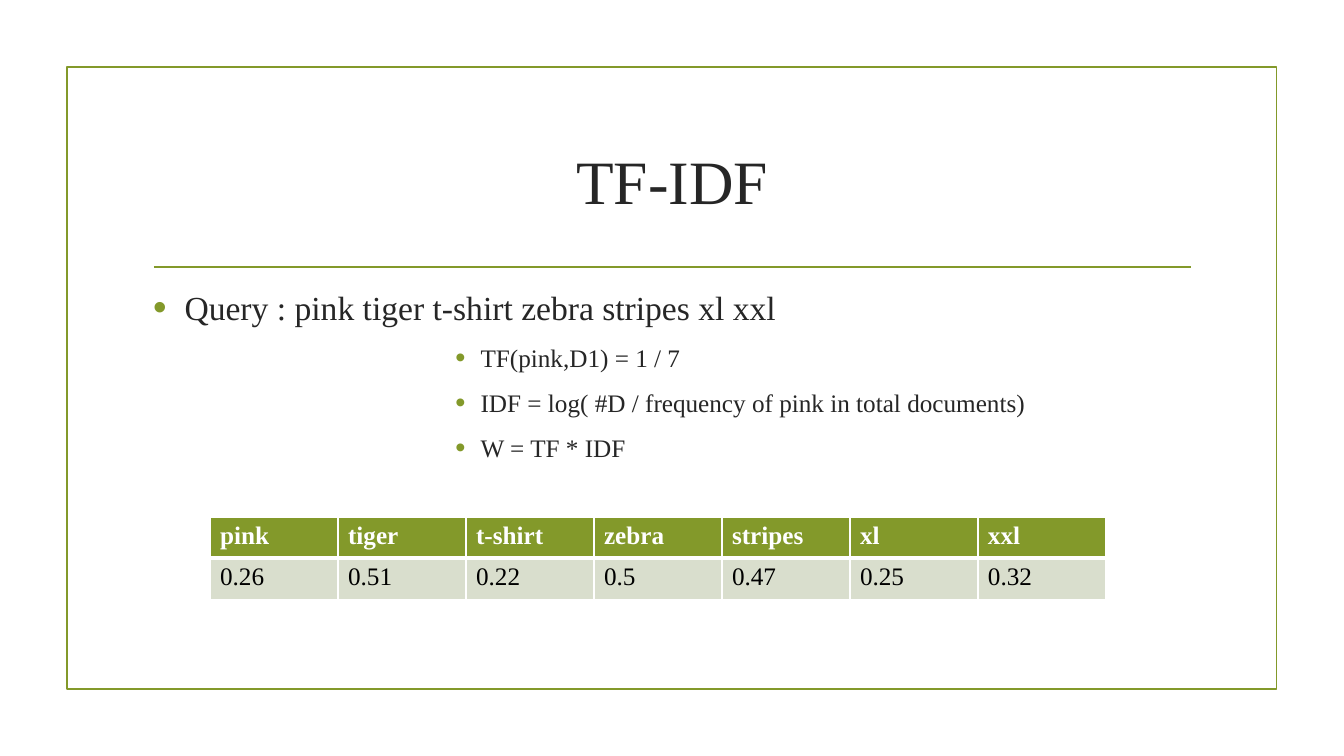
from lxml import etree
from pptx import Presentation
from pptx.dml.color import RGBColor
from pptx.enum.shapes import MSO_CONNECTOR, MSO_SHAPE
from pptx.enum.text import MSO_ANCHOR, PP_ALIGN
from pptx.oxml.ns import qn
from pptx.util import Pt

TITLE = "TF-IDF"
POINTS = [
    ("Query : pink tiger t-shirt zebra stripes xl xxl", 0),
    ("TF(pink,D1) = 1 / 7", 6),
    ("IDF = log( #D / frequency of pink in total documents)", 6),
    ("W = TF * IDF", 6),
]
LEVEL_STYLES = {0: (24, 22.5, 22.5), 6: (18, 234, 18)}
WEIGHTS = [
    ("pink", "0.26"),
    ("tiger", "0.51"),
    ("t-shirt", "0.22"),
    ("zebra", "0.5"),
    ("stripes", "0.47"),
    ("xl", "0.25"),
    ("xxl", "0.32"),
]

FONT = "Times New Roman"
OLIVE = RGBColor(0x83, 0x99, 0x2A)
PALE = RGBColor(0xD9, 0xDE, 0xCD)
INK = RGBColor(0x26, 0x26, 0x26)
BLACK = RGBColor(0, 0, 0)
WHITE = RGBColor(0xFF, 0xFF, 0xFF)
RECTANGLE = MSO_SHAPE.RECTANGLE
STRAIGHT = MSO_CONNECTOR.STRAIGHT
CENTER = PP_ALIGN.CENTER
MIDDLE, TOP = MSO_ANCHOR.MIDDLE, MSO_ANCHOR.TOP

COLUMN_WIDTH, ROW_HEIGHT = 91.44, 29.2
TEXT_LEFT, TEXT_WIDTH = 102.25, 756


def add_run(paragraph, text, size, color, bold=False):
    run = paragraph.add_run()
    run.text = text
    run.font.name = FONT
    run.font.size = Pt(size)
    run.font.color.rgb = color
    run.font.bold = bold


def add_text_frame(slide, top, height, anchor):
    box = slide.shapes.add_textbox(Pt(TEXT_LEFT), Pt(top), Pt(TEXT_WIDTH), Pt(height))
    box.text_frame.word_wrap = True
    box.text_frame.vertical_anchor = anchor
    return box.text_frame


def set_bullet(paragraph, left, hanging):
    properties = paragraph._p.get_or_add_pPr()
    properties.set("marL", str(Pt(left)))
    properties.set("indent", str(-Pt(hanging)))
    color = etree.SubElement(properties, qn("a:buClr"))
    etree.SubElement(color, qn("a:srgbClr"), val=str(OLIVE))
    etree.SubElement(properties, qn("a:buSzPct"), val="115000")
    etree.SubElement(properties, qn("a:buFont"), typeface="Arial")
    etree.SubElement(properties, qn("a:buChar"), char="•")


def set_borders(cell, widths):
    properties = cell._tc.get_or_add_tcPr()
    for position, (side, width) in enumerate(zip("LRTB", widths)):
        border = etree.Element(qn("a:ln" + side), w=str(Pt(width)))
        fill = etree.SubElement(border, qn("a:solidFill"))
        etree.SubElement(fill, qn("a:srgbClr"), val=str(WHITE))
        properties.insert(position, border)


def add_frame(slide):
    frame = slide.shapes.add_shape(RECTANGLE, Pt(47.8), Pt(48), Pt(864), Pt(444))
    frame.shadow.inherit = False
    frame.fill.background()
    rule = slide.shapes.add_connector(STRAIGHT, Pt(110), Pt(190.8), Pt(850.5), Pt(190.8))
    etree.SubElement(rule._element.spPr, qn("a:effectLst"))
    for outline in (frame.line, rule.line):
        outline.color.rgb = OLIVE
        outline.width = Pt(1.25)


def add_points(slide):
    body = add_text_frame(slide, 201.6, 261.4, TOP)
    for index, (text, level) in enumerate(POINTS):
        paragraph = body.paragraphs[0] if index == 0 else body.add_paragraph()
        size, left, hanging = LEVEL_STYLES[level]
        paragraph.level = level
        paragraph.space_before = Pt(4.6)
        paragraph.space_after = Pt(6)
        set_bullet(paragraph, left, hanging)
        add_run(paragraph, text, size, INK)


def add_weights(slide):
    rows = list(zip(*WEIGHTS))
    row_styles = [
        (OLIVE, WHITE, True, (1, 1, 1, 3)),
        (PALE, BLACK, False, (1, 1, 3, 1)),
    ]
    table = slide.shapes.add_table(
        len(rows), len(WEIGHTS), Pt(150), Pt(369.6),
        Pt(COLUMN_WIDTH * len(WEIGHTS)), Pt(ROW_HEIGHT * len(rows)),
    ).table
    for column in table.columns:
        column.width = Pt(COLUMN_WIDTH)
    for row, (texts, style) in enumerate(zip(rows, row_styles)):
        table.rows[row].height = Pt(ROW_HEIGHT)
        fill, ink, bold, borders = style
        for column, text in enumerate(texts):
            cell = table.cell(row, column)
            cell.fill.solid()
            cell.fill.fore_color.rgb = fill
            set_borders(cell, borders)
            add_run(cell.text_frame.paragraphs[0], text, 18, ink, bold)


def main():
    deck = Presentation()
    deck.slide_width, deck.slide_height = Pt(960), Pt(540)
    slide = deck.slides.add_slide(deck.slide_layouts[6])
    add_frame(slide)
    heading = add_text_frame(slide, 77, 103, MIDDLE).paragraphs[0]
    heading.alignment = CENTER
    add_run(heading, TITLE, 44, INK)
    add_points(slide)
    add_weights(slide)
    deck.save("out.pptx")


if __name__ == "__main__":
    main()
